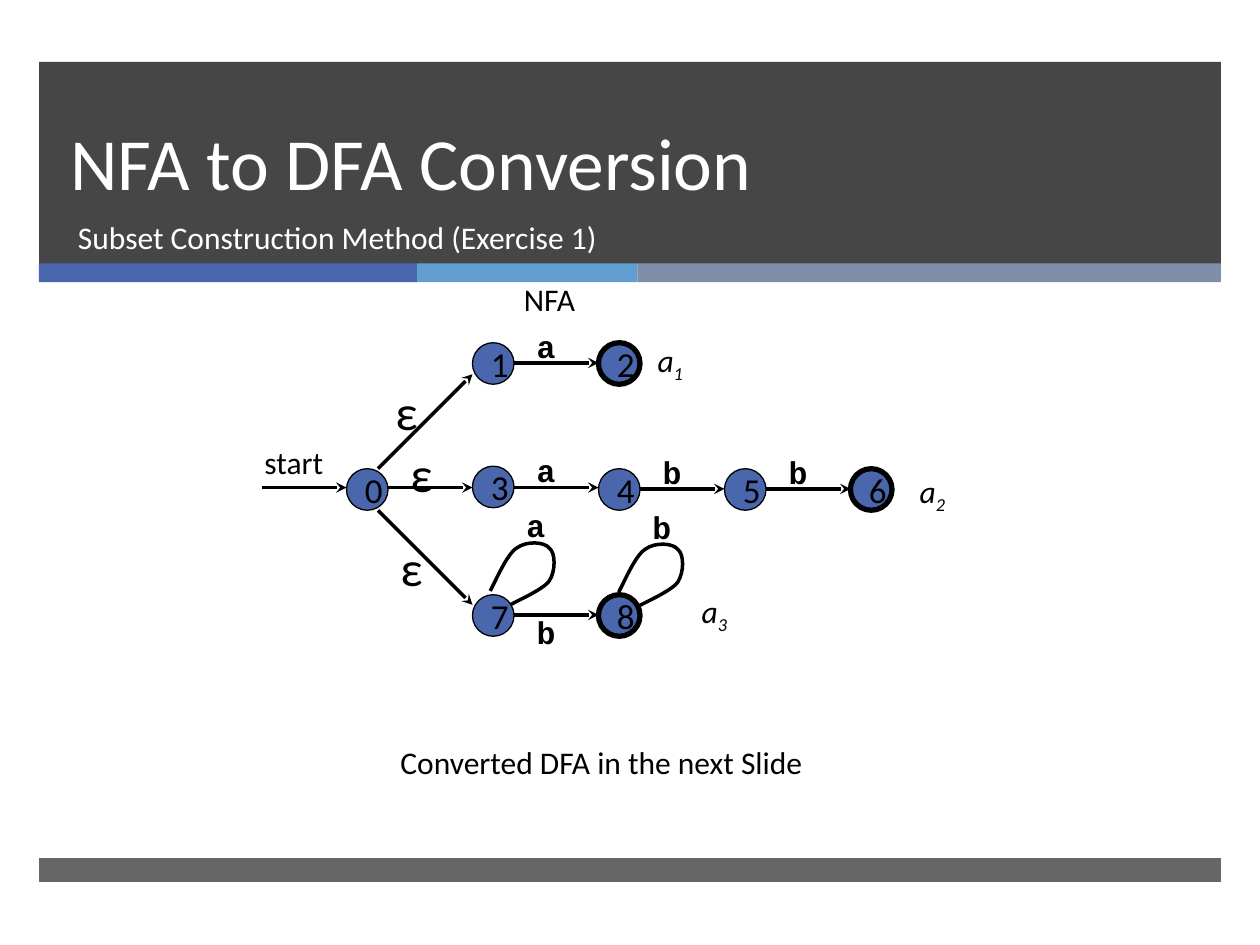
from lxml.etree import SubElement
from pptx import Presentation
from pptx.dml.color import RGBColor
from pptx.enum.shapes import MSO_CONNECTOR, MSO_SHAPE
from pptx.enum.text import MSO_ANCHOR, MSO_AUTO_SIZE, PP_ALIGN
from pptx.oxml.ns import qn
from pptx.util import Inches, Pt

COLORS = {"dark": "262626", "blue": "4A66AC", "sky": "629DD1",
          "slate": "7F8FA9", "black": "000000", "white": "FFFFFF"}
SIZE = 0.33  # diameter of a state; neighbouring states are one inch apart
MARGIN = 0.31


def column(index):
    return 2.75 + index


def row(index):
    return 2.72 + index


def color(name):
    return RGBColor.from_string(COLORS[name])


def style(span, size, name="black", font="Calibri", bold=None, italic=None):
    span.font.size, span.font.name = Pt(size), font
    span.font.bold, span.font.italic = bold, italic
    span.font.color.rgb = color(name)


def add_bar(page, left, top, width, height, fill, opacity=100):
    bar = page.shapes.add_shape(MSO_SHAPE.RECTANGLE, *map(Inches, (left, top, width, height)))
    bar.shadow.inherit = False
    bar.fill.solid()
    bar.fill.fore_color.rgb = color(fill)
    bar.line.fill.background()
    if opacity < 100:
        tint = bar.fill._xPr.find(".//" + qn("a:srgbClr"))
        SubElement(tint, qn("a:alpha"), val=str(opacity * 1000))


def add_text(page, text, left, top, width, height, size=18, grow=True, **look):
    box = page.shapes.add_textbox(*map(Inches, (left, top, width, height)))
    frame = box.text_frame
    frame.word_wrap = True
    frame.auto_size = MSO_AUTO_SIZE.SHAPE_TO_FIT_TEXT if grow else MSO_AUTO_SIZE.NONE
    frame.text = text
    style(frame.paragraphs[0].runs[0], size, **look)
    return frame


def add_symbol(page, letter, left, top):
    add_text(page, letter, left, top, 0.35, 0.4, font="Courier New", bold=True)


def add_pattern(page, number, left, top):
    """Add the pattern name, a letter with a subscript number."""
    frame = add_text(page, "a", left, top, 0.42, 0.4, italic=True)
    span = frame.paragraphs[0].add_run()
    span.text = number
    style(span, 18, italic=True)
    span.font._element.set("baseline", "-25000")


def add_state(page, name, col, level, final=False):
    state = page.shapes.add_shape(MSO_SHAPE.OVAL, Inches(column(col)), Inches(row(level)),
                                  Inches(SIZE), Inches(SIZE))
    state.shadow.inherit = False
    state.fill.solid()
    state.fill.fore_color.rgb = color("blue")
    state.line.color.rgb = color("black")
    state.line.width = Pt(3 if final else 0.75)
    frame = state.text_frame
    frame.vertical_anchor = MSO_ANCHOR.MIDDLE
    frame.text = name
    frame.paragraphs[0].alignment = PP_ALIGN.CENTER
    style(frame.paragraphs[0].runs[0], 20)


def add_arrow(page, start, end):
    """Add an arrow between two (column, row) places of the state grid."""
    ends = [Inches(place) for col, level in (start, end) for place in (column(col), row(level))]
    arrow = page.shapes.add_connector(MSO_CONNECTOR.STRAIGHT, *ends)
    arrow.line.color.rgb = color("black")
    arrow.line.width = Pt(2)
    SubElement(arrow.line._get_or_add_ln(), qn("a:tailEnd"), type="stealth")
    SubElement(arrow._element.spPr, qn("a:effectLst"))


def add_loop(page, left, top):
    """Add a curved loop; its outline is a start and three Bezier triples."""
    offsets = [(0.16, 0.51), (0.21, 0.48), (0.42, 0.39), (0.47, 0.32),
               (0.52, 0.24), (0.52, 0.10), (0.47, 0.06), (0.43, 0.01),
               (0.29, 0), (0.21, 0.06), (0.13, 0.11), (0.04, 0.33), (0, 0.40)]
    points = [(Inches(left + x), Inches(top + y)) for x, y in offsets]
    builder = page.shapes.build_freeform(*points[0])
    builder.add_line_segments(points[1:], close=False)
    loop = builder.convert_to_shape()
    loop.shadow.inherit = False
    loop.fill.background()
    loop.line.color.rgb = color("black")
    loop.line.width = Pt(2)
    outline = loop._element.find(".//" + qn("a:path"))
    segments = outline.findall(qn("a:lnTo"))
    for first in range(0, len(segments), 3):
        curve = SubElement(outline, qn("a:cubicBezTo"))
        for segment in segments[first:first + 3]:
            curve.append(segment[0])
            outline.remove(segment)


def add_frame(page):
    add_bar(page, MARGIN, 0.49, 9.38, 1.61, "dark", 85)
    left = MARGIN
    for width, fill in ((3, "blue"), (1.75, "sky"), (4.63, "slate")):
        add_bar(page, left, 2.09, width, 0.15, fill)
        left += width
    add_bar(page, MARGIN, 6.81, 9.38, 0.19, "dark", 70)
    title = add_text(page, "NFA to DFA Conversion", 0.46, 0.49, 8.54, 1.19, 42,
                     grow=False, name="white")
    title.vertical_anchor = MSO_ANCHOR.BOTTOM
    title.paragraphs[0].line_spacing = 1.1
    add_text(page, "Subset Construction Method (Exercise 1)", 0.52, 1.68, 8.48, 0.53,
             grow=False, name="white")


def add_automaton(page):
    for name, col, level, final in (
            ("0", 0, 1, False), ("1", 1, 0, False), ("2", 2, 0, True),
            ("3", 1, 0.98, False), ("4", 2, 1, False), ("5", 3, 1, False),
            ("6", 4, 1, True), ("7", 1, 2, False), ("8", 2, 2, True)):
        add_state(page, name, col, level, final)

    for col, level in ((1, 0.16), (0, 1.15), (1, 1.15), (2, 1.16), (3, 1.16), (1, 2.16)):
        add_arrow(page, (col + SIZE, level), (col + 1, level))
    add_arrow(page, (SIZE - 1, 1.15), (0, 1.15))
    add_arrow(page, (0.25, 1), (1, 0.25))
    add_arrow(page, (0.25, 1 + SIZE), (1, 1.75 + SIZE))

    for letter, col, level in (("a", 1, -0.17), ("a", 1, 0.81), ("b", 2, 0.83),
                               ("b", 3, 0.83), ("b", 1, 2.1)):
        add_symbol(page, letter, column(col + 0.41), row(level))
    for letter, col, level in (("a", 1, 1.57), ("b", 2.02, 1.58)):
        add_loop(page, column(col + 0.14), row(level))
    for letter, col, level in (("a", 1, 1.25), ("b", 2, 1.26)):
        add_symbol(page, letter, column(col + SIZE), row(level))
    for left, top in ((3.08, 4.22), (3.16, 3.47), (3.04, 2.98)):
        add_text(page, "ε", left, top, 0.37, 0.57, 28)
    for number, left, top in (("1", 5.12, 2.66), ("2", 7.2, 3.7), ("3", 5.47, 4.65)):
        add_pattern(page, number, left, top)
    add_text(page, "start", 2, 3.47, 0.69, 0.4)


def main():
    deck = Presentation()
    deck.slide_width, deck.slide_height = Inches(10), Inches(7.5)
    page = deck.slides.add_slide(deck.slide_layouts[6])
    add_frame(page)
    add_automaton(page)
    add_text(page, "NFA", 4.06, 2.17, 0.67, 0.4)
    add_text(page, "Converted DFA in the next Slide", 3.08, 5.85, 4.29, 0.4)
    deck.save("out.pptx")


if __name__ == "__main__":
    main()
